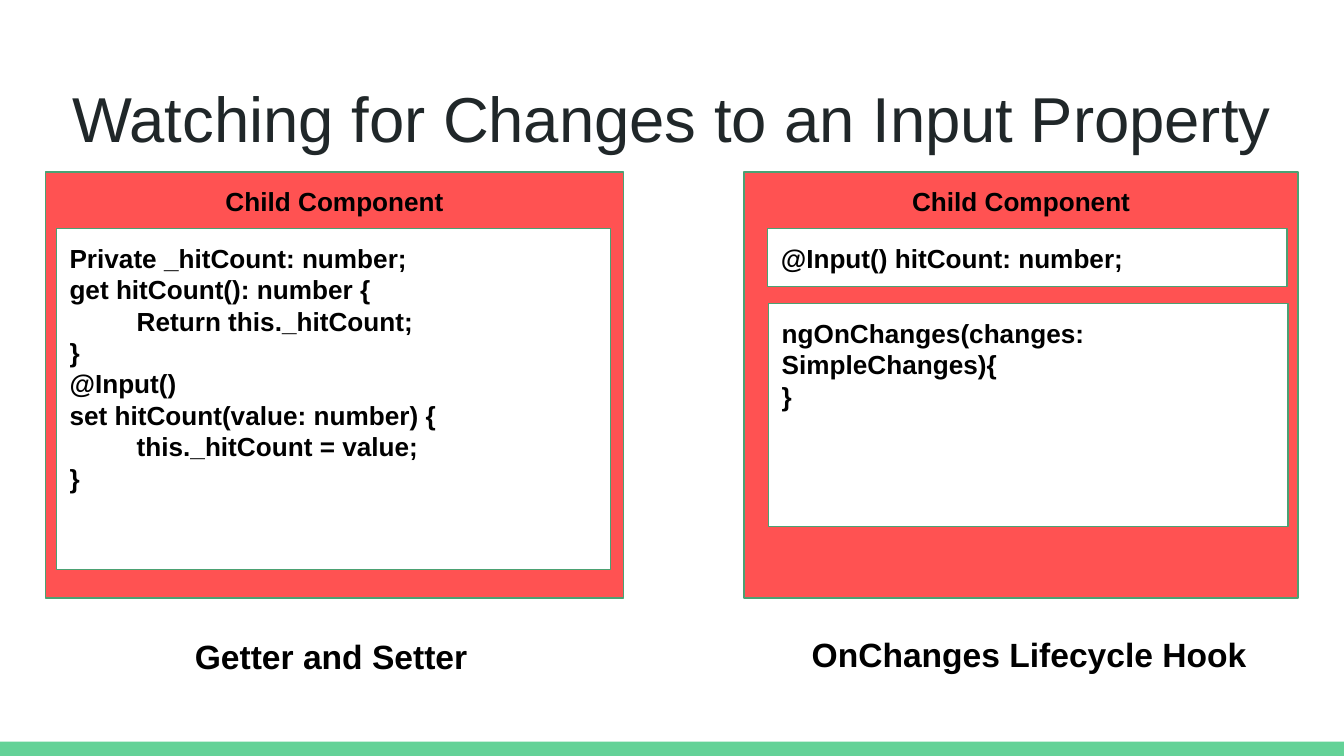
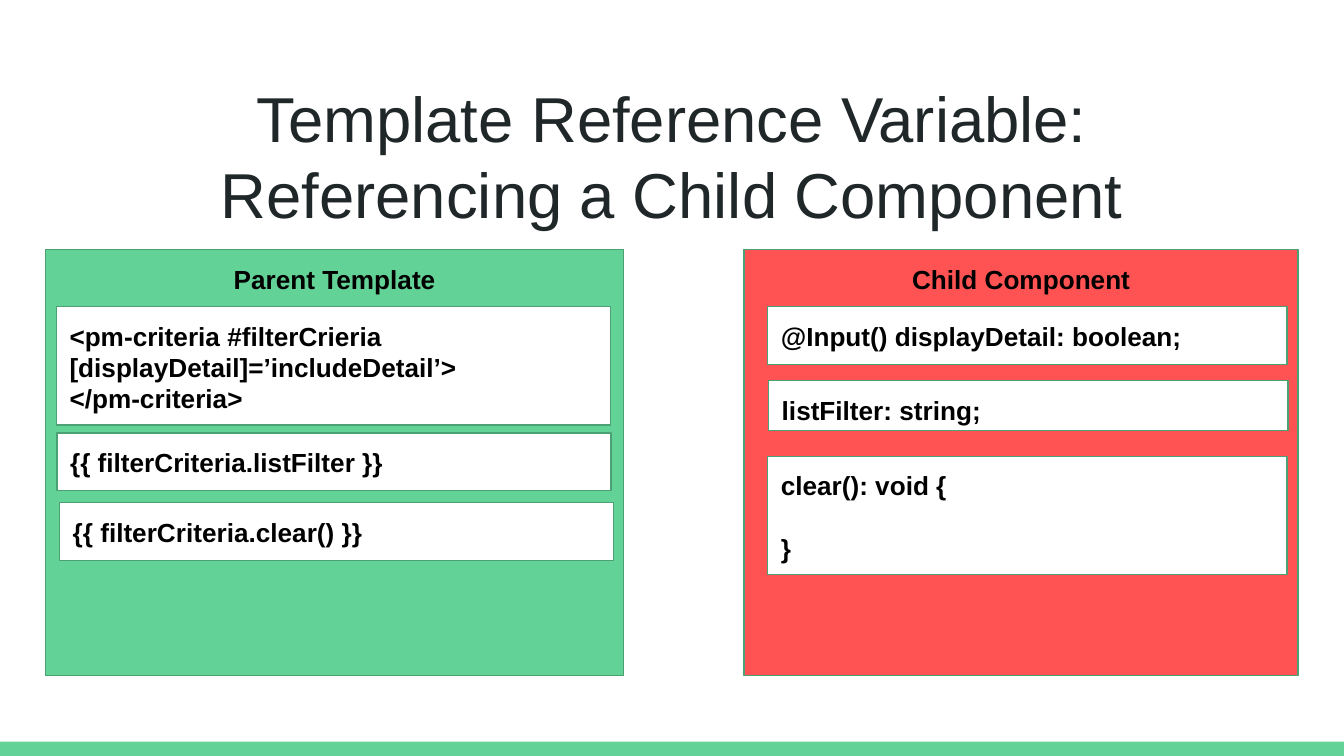
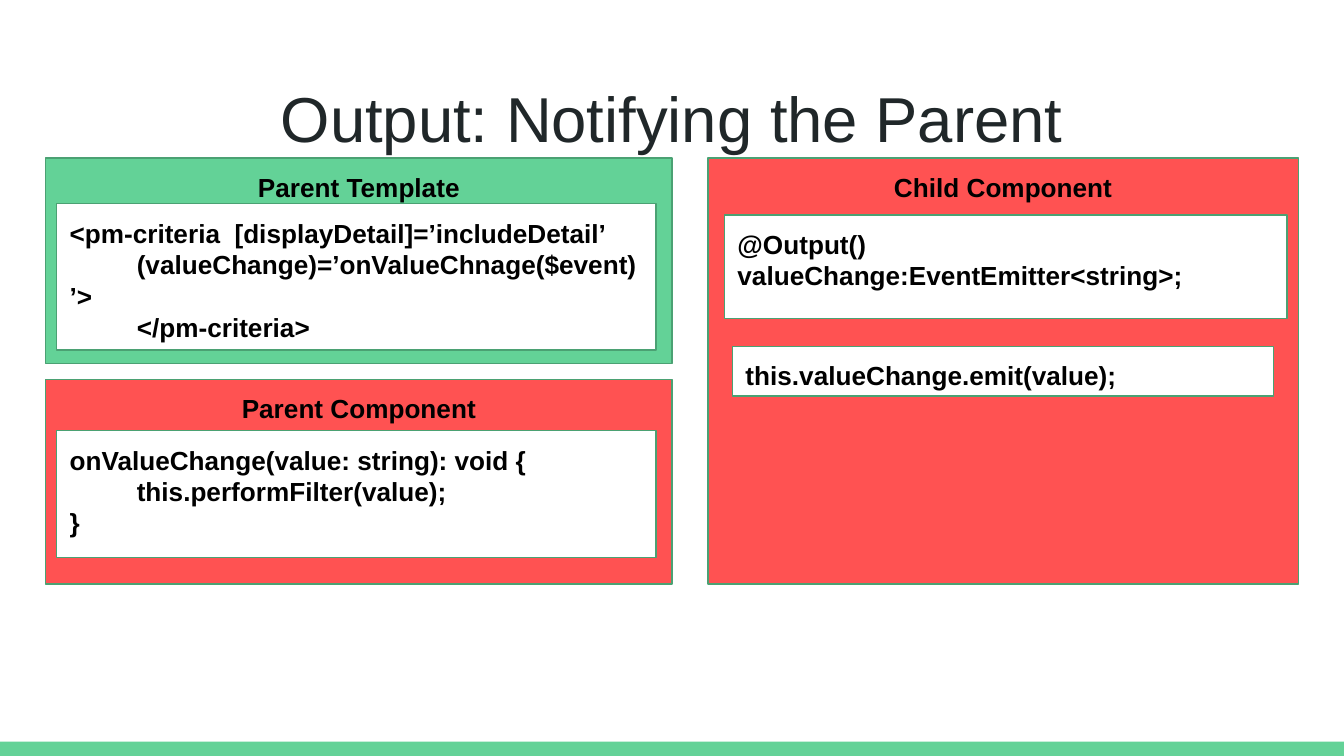
from dataclasses import dataclass

from pptx import Presentation
from pptx.dml.color import RGBColor
from pptx.enum.shapes import MSO_SHAPE
from pptx.enum.text import MSO_ANCHOR, MSO_AUTO_SIZE, PP_ALIGN
from pptx.util import Pt

RECT = MSO_SHAPE.RECTANGLE
TOP = MSO_ANCHOR.TOP
FIXED = MSO_AUTO_SIZE.NONE
LEFT, MID = PP_ALIGN.LEFT, PP_ALIGN.CENTER


@dataclass(frozen=True)
class Theme:
    font: str = "Arial"
    ink: str = "202729"
    black: str = "000000"
    white: str = "FFFFFF"
    green: str = "63D297"
    red: str = "FF5252"
    edge: str = "4BA173"
    head: float = 34
    label: float = 18
    code: float = 14
    line: float = 16.8
    inset: float = 7.2
    rule: float = 0.75


T = Theme()
WIDE, HIGH, BAND = 720, 405, 7.7
SIDE, HEAD_TOP = 24.5, 35.3
STEP = 36  # first-line indent of nested code

# Content: each panel is (heading, fill, left, top, width, height, cards);
# each card is (left, top, width, height, lines); an indented line is (indent, text)
SLIDES = [
    dict(
        title="Watching for Changes to an Input Property", tall=45.4,
        panels=[
            ("Child Component", T.red, SIDE, 92.2, 309.6, 228.2, [
                (30.2, 122.6, 296.8, 182.5, [
                    "Private _hitCount: number;", "get hitCount(): number {",
                    "\tReturn this._hitCount;", "}", "@Input()",
                    "set hitCount(value: number) {",
                    "\tthis._hitCount = value;", "}"])]),
            ("Child Component", T.red, 398.7, 92.2, 296.8, 228.2, [
                (411.2, 122.6, 278.4, 31, ["@Input() hitCount: number;"]),
                (411.7, 162.7, 278.4, 119.3,
                 ["ngOnChanges(changes: SimpleChanges){", "}"])]),
        ],
        labels=[("Getter and Setter", 96.4, 333.6, 162, 31),
                ("OnChanges Lifecycle Hook", 407.4, 332.5, 288, 31)]),
    dict(
        title="Template Reference Variable:\nReferencing a Child Component", tall=93.6,
        panels=[
            ("Parent Template", T.green, SIDE, 133.8, 309.6, 228.2, [
                (30.2, 164.2, 296.8, 63.4,
                 ["<pm-criteria #filterCrieria [displayDetail]=’includeDetail’>",
                  "</pm-criteria>"]),
                (30.5, 232, 296.8, 31, ["{{ filterCriteria.listFilter }}"]),
                (31.9, 269.2, 296.8, 31, ["{{ filterCriteria.clear() }}"])]),
            ("Child Component", T.red, 398.7, 133.8, 296.8, 228.2, [
                (411.2, 164.2, 278.4, 31, ["@Input() displayDetail: boolean;"]),
                (411.7, 204, 278.4, 26.8, ["listFilter: string;"]),
                (411.2, 244.4, 278.4, 63.4, ["clear(): void {", "", "}"])]),
        ],
        labels=[]),
    dict(
        title="Output: Notifying the Parent", tall=55.4,
        panels=[
            ("Parent Template", T.green, SIDE, 84.7, 335.6, 110, [
                (30.2, 109.2, 321.2, 78.4,
                 ["<pm-criteria  [displayDetail]=’includeDetail’",
                  (STEP, "(valueChange)=’onValueChnage($event)’>"),
                  (STEP, "</pm-criteria>")])]),
            ("Child Component", T.red, 379.3, 84.7, 316.2, 228.2, [
                (388, 115.2, 301.6, 55.6,
                 ["@Output() valueChange:EventEmitter<string>;"]),
                (392.3, 185.6, 290, 26.6, ["this.valueChange.emit(value);"])]),
            ("Parent Component", T.red, SIDE, 203.2, 335.6, 109.8, [
                (30.2, 230.6, 321.2, 68,
                 ["onValueChange(value: string): void {",
                  (STEP, "this.performFilter(value);"), "}"])]),
        ],
        labels=[]),
]


# Text
def tint(code):
    return RGBColor.from_string(code)


def write(shape, lines, size, align, ink=T.black, bold=True):
    frame = shape.text_frame
    frame.word_wrap = True
    frame.auto_size = FIXED
    frame.vertical_anchor = TOP
    frame.margin_left = frame.margin_right = Pt(T.inset)
    frame.margin_top = frame.margin_bottom = Pt(T.inset)
    rows = [row if isinstance(row, tuple) else (0, row) for row in lines]
    frame.text = "\n".join(text for _, text in rows if text)
    paras = iter(frame.paragraphs)
    gap = 0
    for indent, text in rows:
        if not text:
            gap += T.line
            continue
        para = next(paras)
        para.alignment = align
        para.space_before = Pt(gap)
        gap = 0
        if indent:
            props = para._p.get_or_add_pPr()
            props.set("marL", "0")
            props.set("indent", str(Pt(indent)))
        for run in para.runs:
            font = run.font
            font.name, font.size, font.bold = T.font, Pt(size), bold
            font.color.rgb = tint(ink)


# Shapes
def block(slide, box, fill, edge=None):
    shape = slide.shapes.add_shape(RECT, *map(Pt, box))
    shape.shadow.inherit = False
    shape.fill.solid()
    shape.fill.fore_color.rgb = tint(fill)
    if edge:
        shape.line.color.rgb = tint(edge)
        shape.line.width = Pt(T.rule)
    else:
        shape.line.fill.background()
    return shape


def panel(slide, head, fill, *rest):
    *box, cards = rest
    write(block(slide, box, fill, T.edge), [head], T.code, MID)
    for *spot, lines in cards:
        write(block(slide, spot, T.white, T.edge), lines, T.code, LEFT)


def build(slide, data):
    title = slide.shapes.title
    title.left, title.top = Pt(SIDE), Pt(HEAD_TOP)
    title.width, title.height = Pt(WIDE - 2 * SIDE), Pt(data["tall"])
    write(title, data["title"].split("\n"), T.head, MID, T.ink, False)
    for item in data["panels"]:
        panel(slide, *item)
    for text, *box in data["labels"]:
        write(slide.shapes.add_textbox(*map(Pt, box)), [text], T.label, MID)


def main():
    deck = Presentation()
    deck.slide_width, deck.slide_height = Pt(WIDE), Pt(HIGH)
    pages = [deck.slides.add_slide(deck.slide_layouts[5]) for _ in SLIDES]

    # Bottom band, moved to the master so that all slides share it
    band = block(pages[0], (0, HIGH - BAND, WIDE, BAND), T.green)
    deck.slide_master.shapes._spTree.append(band._element)

    for page, data in zip(pages, SLIDES):
        build(page, data)
    deck.save("out.pptx")


if __name__ == "__main__":
    main()
